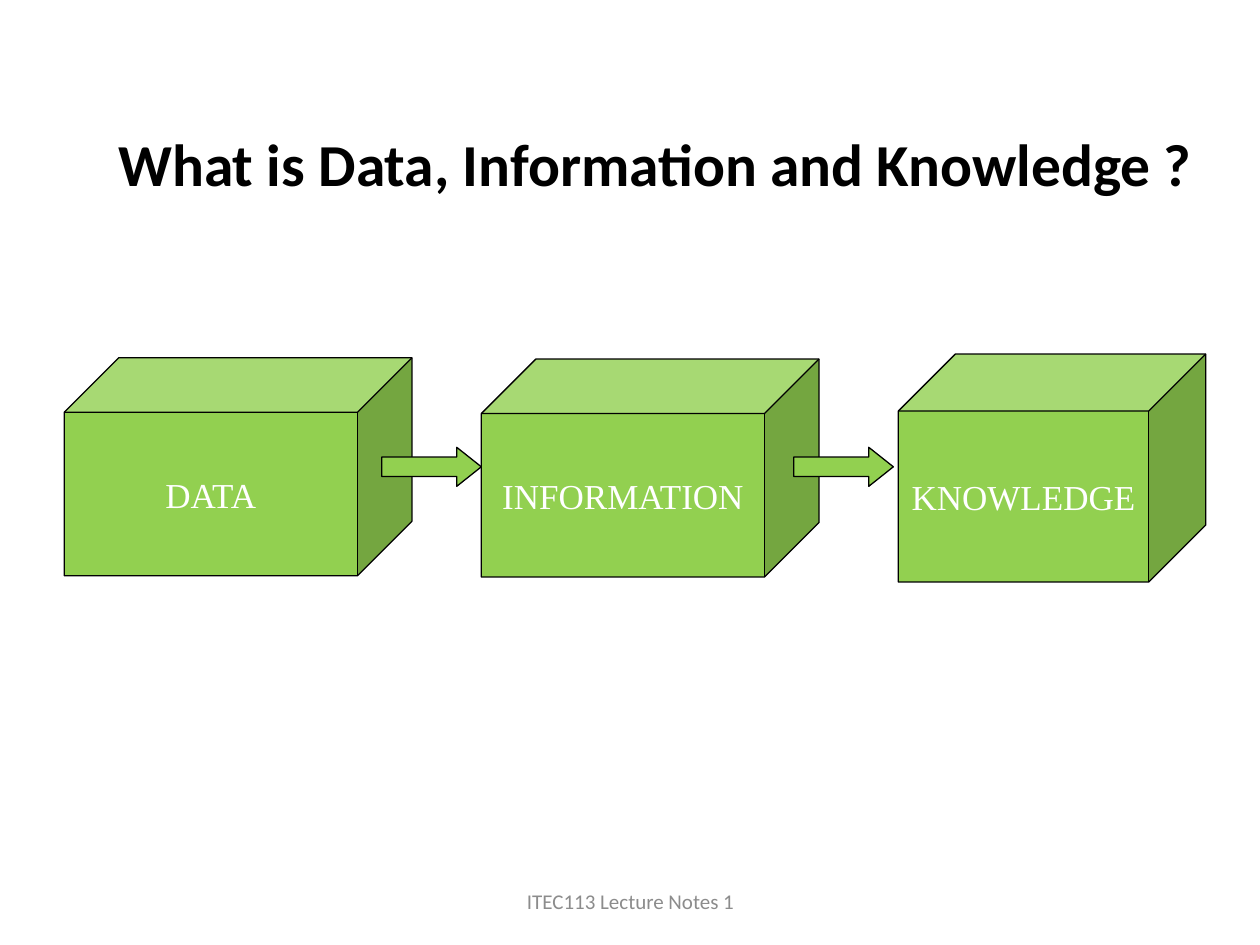
from pptx import Presentation
from pptx.dml.color import RGBColor
from pptx.enum.shapes import MSO_SHAPE as Preset
from pptx.enum.text import MSO_ANCHOR as Anchor, PP_ALIGN as Align
from pptx.util import Inches, Pt

GREEN = RGBColor(0x92, 0xD0, 0x50)
BLACK = RGBColor(0, 0, 0)
WHITE = RGBColor(0xFF, 0xFF, 0xFF)
GREY = RGBColor(0x8C, 0x8C, 0x8C)


def write(holder, words, size, font, color, bold=False):
    frame = holder.text_frame
    frame.text = words
    frame.vertical_anchor = Anchor.MIDDLE
    line = frame.paragraphs[0]
    line.alignment = Align.CENTER
    for run in line.runs:
        run.font.size = Pt(size)
        run.font.name = font
        run.font.bold = bold
        run.font.color.rgb = color


def add_green(slide, preset, left, top, width, height):
    solid = slide.shapes.add_shape(
        preset, Inches(left), Inches(top), Inches(width), Inches(height))
    solid.shadow.inherit = False
    solid.fill.solid()
    solid.fill.fore_color.rgb = GREEN
    solid.line.color.rgb = BLACK
    solid.line.width = Pt(0.75)
    return solid


deck = Presentation()
deck.slide_width, deck.slide_height = Inches(10), Inches(7.5)
slide = deck.slides.add_slide(deck.slide_layouts[5])

question = slide.shapes.title
question.left, question.top = Inches(0.75), Inches(0.67)
question.width, question.height = Inches(8.9), Inches(1.25)
write(question, "What is Data, Information and Knowledge ?", 34, "Calibri", BLACK, True)

course = slide.shapes.add_textbox(Inches(3.42), Inches(6.95), Inches(3.17), Inches(0.4))
course.text_frame.word_wrap = True
write(course, "ITEC113 Lecture Notes 1", 12, "Calibri", GREY)

first_left, pitch = 0.51, 3.31
stages = [
    ("DATA", 2.84, 2.76, 1.73),
    ("INFORMATION", 2.85, 2.68, 1.73),
    ("KNOWLEDGE", 2.81, 2.44, 1.81),
]
for column, (stage, top, width, height) in enumerate(stages):
    cube = add_green(slide, Preset.CUBE, first_left + column * pitch, top, width, height)
    cube.adjustments[0] = 0.25
    cube.text_frame.word_wrap = False
    write(cube, stage, 20, "Times New Roman", WHITE)

for left in (3.03, 6.3):
    arrow = add_green(slide, Preset.RIGHT_ARROW, left, 3.55, 0.79, 0.31)
    arrow.adjustments[0] = 0.5
    arrow.adjustments[1] = 0.63

deck.save("out.pptx")
